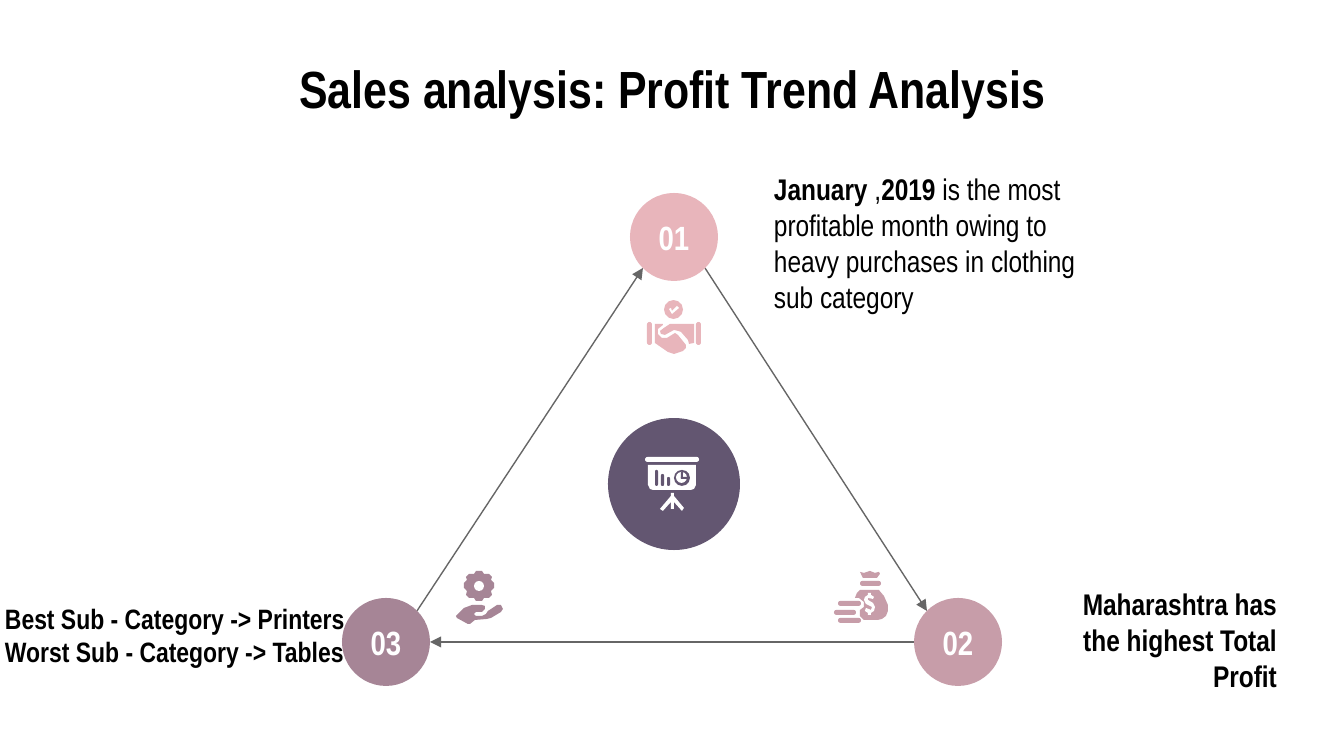
from dataclasses import dataclass

from pptx import Presentation
from pptx.dml.color import RGBColor
from pptx.enum.shapes import MSO_CONNECTOR, MSO_SHAPE
from pptx.enum.text import MSO_ANCHOR, MSO_AUTO_SIZE, PP_ALIGN
from pptx.oxml.ns import qn
from pptx.oxml.xmlchemy import OxmlElement
from pptx.util import Emu, Pt

PX = 9144000 / 1344


@dataclass(frozen=True)
class Theme:
    font: str = "Arial Narrow"
    black: str = "000000"
    white: str = "FFFFFF"
    line: str = "666666"
    pink: str = "E8B5BB"
    rose: str = "C79DA9"
    mauve: str = "A68596"
    purple: str = "635671"
    title_size: int = 28
    number_size: int = 18
    body_size: int = 16
    small_size: int = 15


THEME = Theme()
RADIUS = 44
DIAGONAL = 31
OVAL = MSO_SHAPE.OVAL
BAR = MSO_SHAPE.ROUNDED_RECTANGLE
RECTANGLE = MSO_SHAPE.RECTANGLE

PRESENTATION_ICON = [
    (BAR, (0, 0, 54, 5), THEME.white),
    ([(3, 8), (51, 8), (51, 28), (49, 32), (46, 33), (8, 33), (5, 32), (3, 28)], None, THEME.white),
    (BAR, (10, 13, 3, 16), THEME.purple),
    (BAR, (16, 17, 3, 12), THEME.purple),
    (BAR, (22, 20, 3, 9), THEME.purple),
    (OVAL, (29, 13, 16, 16), THEME.purple),
    (OVAL, (31, 15, 11, 11), THEME.white),
    (RECTANGLE, (36, 15, 2, 6), THEME.purple),
    (RECTANGLE, (36, 20, 7, 2), THEME.purple),
    ([(26, 36), (29, 36), (29, 39), (39, 51), (37, 54), (29, 45), (29, 52), (26, 52),
      (26, 45), (18, 54), (15, 52), (26, 39)], None, THEME.white),
]
HANDSHAKE_ICON = [
    (OVAL, (17, 0, 19, 19), THEME.pink),
    ([(22, 9), (24, 8), (25, 11), (30, 6), (32, 8), (25, 14)], None, THEME.white),
    (BAR, (0, 22, 5, 23), THEME.pink),
    (BAR, (49, 22, 5, 23), THEME.pink),
    ([(8, 24), (16, 24), (16, 25), (11, 29), (11, 34), (15, 38), (20, 38), (28, 33), (31, 35),
      (39, 45), (39, 48), (36, 51), (27, 54), (21, 52), (8, 43)], None, THEME.pink),
    ([(47, 24), (23, 24), (17, 28), (13, 31), (14, 34), (18, 35), (27, 30), (31, 31), (34, 32),
      (41, 40), (42, 44), (47, 43)], None, THEME.pink),
]
MONEY_ICON = [
    (BAR, (26, 10, 21, 5), THEME.rose),
    (BAR, (4, 47, 23, 5), THEME.rose),
    (BAR, (0, 39, 22, 5), THEME.rose),
    (BAR, (4, 30, 23, 5), THEME.rose),
    ([(26, 19), (45, 19), (50, 25), (54, 34), (54, 40), (52, 45), (48, 48), (44, 49), (30, 49),
      (26, 45), (26, 39), (30, 36), (30, 31), (25, 27), (21, 27), (23, 22)], None, THEME.rose),
    ([(34, 22), (37, 22), (37, 24), (40, 26), (39, 28), (34, 27), (34, 29), (39, 32), (41, 36),
      (40, 40), (37, 42), (37, 44), (34, 44), (34, 42), (31, 40), (32, 37), (37, 39), (38, 36),
      (32, 33), (30, 29), (31, 26), (34, 24)], None, THEME.white),
    ([(26, 1), (30, 2), (36, 0), (41, 2), (45, 1), (46, 3), (43, 7), (29, 7)], None, THEME.rose),
]
SERVICE_ICON = [
    ([(16, 34), (26, 34), (29, 35), (29, 38), (26, 41), (20, 41), (18, 43), (20, 45), (26, 45),
      (30, 43), (32, 40), (41, 34), (45, 34), (47, 38), (45, 41), (35, 47), (31, 48), (19, 49),
      (14, 53), (12, 53), (1, 47), (0, 45), (8, 37)], None, THEME.mauve),
    ([(20, 0), (26, 0), (28, 3), (33, 3), (36, 6), (35, 9), (38, 12), (38, 17), (35, 20),
      (36, 24), (33, 27), (28, 27), (26, 30), (20, 30), (18, 27), (13, 27), (10, 24), (11, 20),
      (8, 17), (8, 12), (11, 9), (10, 6), (13, 3), (18, 3)], None, THEME.mauve),
    (OVAL, (18, 10, 10, 10), THEME.white),
]


def px(*lengths):
    """Turn pixel lengths into EMU."""
    return [Emu(round(length * PX)) for length in lengths]


def paint(shape, color):
    """Give a shape a flat fill without line or shadow."""
    shape.shadow.inherit = False
    shape.fill.solid()
    shape.fill.fore_color.rgb = RGBColor.from_string(color)
    shape.line.fill.background()


def write(shape, paragraphs, size, color, alignment, bold=True):
    """Fill a shape with paragraphs, each a list of (text, bold) runs or a string."""
    frame = shape.text_frame
    frame.word_wrap = True
    frame.auto_size = MSO_AUTO_SIZE.NONE
    frame.vertical_anchor = MSO_ANCHOR.MIDDLE
    frame.margin_left = frame.margin_right = frame.margin_top = frame.margin_bottom = px(13)[0]
    for index, content in enumerate(paragraphs):
        paragraph = frame.add_paragraph() if index else frame.paragraphs[0]
        paragraph.alignment = alignment
        paragraph.font.name = THEME.font
        paragraph.font.size = Pt(size)
        paragraph.font.color.rgb = RGBColor.from_string(color)
        if isinstance(content, str):
            paragraph.font.bold = bold
            paragraph.add_run().text = content
            continue
        for text, run_bold in content:
            run = paragraph.add_run()
            run.text = text
            run.font.bold = run_bold


def add_title(slide, box, text):
    """Place and format the title placeholder."""
    title = slide.shapes.title
    title.left, title.top, title.width, title.height = px(*box)
    write(title, [text], THEME.title_size, THEME.black, PP_ALIGN.CENTER)


def add_caption(slide, box, paragraphs, size, alignment):
    """Add a text box beside a node."""
    caption = slide.shapes.add_textbox(*px(*box))
    write(caption, paragraphs, size, THEME.black, alignment)


def add_circle(slide, center, radius, color):
    """Add a filled circle around its centre."""
    x, y = center
    circle = slide.shapes.add_shape(OVAL, *px(x - radius, y - radius, 2 * radius, 2 * radius))
    paint(circle, color)
    return circle


def add_arrow(slide, start, end):
    """Add a thin line with an arrowhead at its end."""
    arrow = slide.shapes.add_connector(MSO_CONNECTOR.STRAIGHT, *px(*start, *end))
    arrow.line.color.rgb = RGBColor.from_string(THEME.line)
    arrow.line.width = Pt(0.75)
    properties = arrow._element.spPr
    head = OxmlElement("a:tailEnd")
    head.set("type", "triangle")
    properties.find(qn("a:ln")).append(head)
    properties.append(OxmlElement("a:effectLst"))


def add_icon(slide, origin, parts):
    """Group preset and outlined parts placed relative to an origin."""
    left, top = origin
    group = slide.shapes.add_group_shape()
    for form, box, color in parts:
        if box:
            x, y, width, height = box
            shape = group.shapes.add_shape(form, *px(left + x, top + y, width, height))
            if form == BAR:
                shape.adjustments[0] = 0.5
        else:
            builder = group.shapes.build_freeform(*form[0], scale=PX)
            builder.add_line_segments(form[1:], close=True)
            shape = builder.convert_to_shape(*px(left, top))
        paint(shape, color)


def add_cycle(slide, box):
    """Draw the triangle of numbered nodes, its arrows and its icons."""
    left, top, width, height = box
    peak = (left + 332, top + RADIUS)
    right = (left + width - RADIUS, top + height - RADIUS)
    base = (left + RADIUS, top + height - RADIUS)
    add_arrow(slide, (base[0] + DIAGONAL, base[1] - DIAGONAL), (peak[0] - DIAGONAL, peak[1] + DIAGONAL))
    add_arrow(slide, (peak[0] + DIAGONAL, peak[1] + DIAGONAL), (right[0] - DIAGONAL, right[1] - DIAGONAL))
    add_arrow(slide, (right[0] - RADIUS, right[1]), (base[0] + RADIUS, base[1]))
    nodes = [("01", peak, THEME.pink), ("02", right, THEME.rose), ("03", base, THEME.mauve)]
    for number, center, color in nodes:
        circle = add_circle(slide, center, RADIUS, color)
        write(circle, [number], THEME.number_size, THEME.white, PP_ALIGN.CENTER)
    add_circle(slide, (peak[0], top + 291), 66, THEME.purple)
    add_icon(slide, (left + 303, top + 264), PRESENTATION_ICON)
    add_icon(slide, (left + 305, top + 107), HANDSHAKE_ICON)
    add_icon(slide, (left + 492, top + 378), MONEY_ICON)
    add_icon(slide, (left + 114, top + 378), SERVICE_ICON)


def main():
    """Build the slide and save it."""
    presentation = Presentation()
    presentation.slide_width, presentation.slide_height = px(1344, 756)
    slide = presentation.slides.add_slide(presentation.slide_layouts[5])
    add_title(slide, (67, 60, 1210, 55), "Sales analysis: Profit Trend Analysis")
    add_cycle(slide, (342, 193, 660, 493))
    add_caption(slide, (1027, 596, 263, 87), ["Maharashtra has the highest Total Profit"],
                THEME.body_size, PP_ALIGN.RIGHT)
    month = [("January", True), (" ,", False), ("2019", True),
             (" is the most profitable month owing to heavy purchases in clothing sub category", False)]
    add_caption(slide, (761, 139, 332, 207), [month], THEME.body_size, PP_ALIGN.LEFT)
    add_caption(slide, (-8, 581, 452, 108),
                ["Best Sub - Category -> Printers", "Worst Sub - Category -> Tables"],
                THEME.small_size, PP_ALIGN.LEFT)
    presentation.save("out.pptx")


if __name__ == "__main__":
    main()
